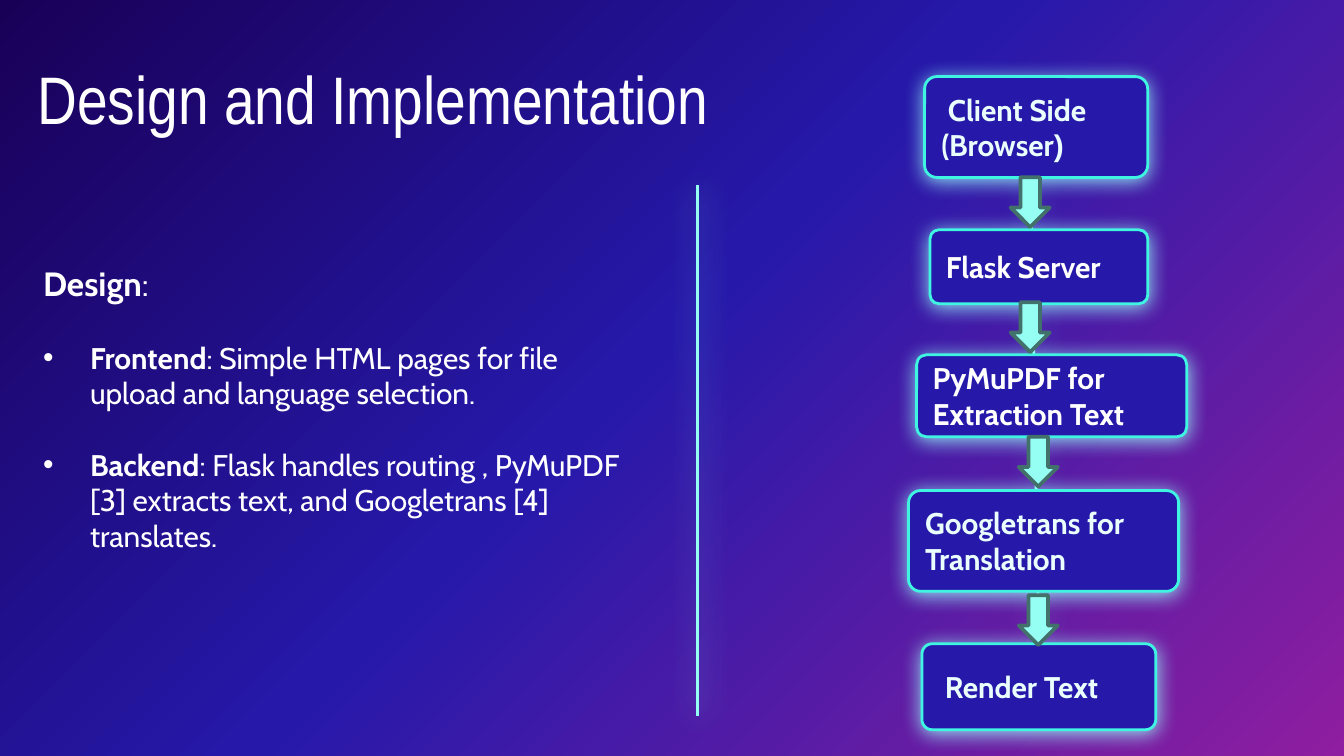
from lxml import etree
from pptx import Presentation
from pptx.dml.color import RGBColor as RGB
from pptx.enum.shapes import MSO_CONNECTOR as Conn, MSO_SHAPE as Kind
from pptx.enum.text import MSO_ANCHOR as Anchor, MSO_AUTO_SIZE as Auto, PP_ALIGN as Align
from pptx.oxml import parse_xml
from pptx.oxml.ns import nsdecls, qn
from pptx.util import Inches, Pt

WHITE = RGB(0xFF, 0xFF, 0xFF)
MINT = RGB(0xEA, 0xFF, 0xFD)
AQUA = RGB(0x96, 0xFF, 0xF3)
CYAN = RGB(0x3F, 0xF5, 0xE1)
GLOW = RGB(0x98, 0xFA, 0xFC)
TEAL = RGB(0x42, 0x70, 0x6B)
NAVY = RGB(0x19, 0x00, 0x57)
BLUE = RGB(0x26, 0x19, 0xAA)
PLUM = RGB(0x8F, 0x1E, 0xA0)


def style(run, size, color=WHITE, bold=False, name="Cabin"):
    font = run.font
    font.size, font.bold, font.name = Pt(size), bold, name
    font.color.rgb = color


def glow(shape, color, alpha, blur, angle):
    """Add a coloured outer shadow; alpha in percent, blur in points."""
    shape._element.spPr.append(parse_xml(
        f'<a:effectLst {nsdecls("a")}><a:outerShdw blurRad="{Pt(blur)}" '
        f'dist="{Pt(1.5)}" dir="{angle * 60000}" algn="bl" rotWithShape="0">'
        f'<a:srgbClr val="{color}"><a:alpha val="{alpha * 1000}"/></a:srgbClr>'
        '</a:outerShdw></a:effectLst>'))


deck = Presentation()
deck.slide_width = Inches(10)
deck.slide_height = Inches(10 * 9 / 16)
slide = deck.slides.add_slide(deck.slide_layouts[1])
shapes = slide.shapes

# Background gradient
fill = slide.background.fill
fill.gradient()
fill.gradient_angle = 0
grad = slide.background._cSld.bg.bgPr.find(qn("a:gradFill"))
stops = grad.find(qn("a:gsLst"))
for old in list(stops):
    stops.remove(old)
for pos, color in [(0, NAVY), (48, BLUE), (100, PLUM)]:
    stop = etree.SubElement(stops, qn("a:gs"), pos=str(pos * 1000))
    etree.SubElement(stop, qn("a:srgbClr"), val=str(color))
grad.find(qn("a:lin")).set("ang", str(45 * 60000))

# Title and body
title, body = shapes.title, slide.placeholders[1]
for holder, spot in [(title, (0, 0.41, 5.55, 0.63)), (body, (0.17, 1.71, 4.62, 2.92))]:
    holder.left, holder.top, holder.width, holder.height = map(Inches, spot)
    frame = holder.text_frame
    frame.margin_left = frame.margin_right = frame.margin_top = frame.margin_bottom = 0
    frame.vertical_anchor, frame.auto_size = Anchor.MIDDLE, Auto.NONE
    frame.word_wrap = True

title.text_frame.text = "Design and Implementation"
para = title.text_frame.paragraphs[0]
para.alignment = Align.CENTER
style(para.runs[0], 36, name="Arial Narrow")

points = [
    ("Design", ":"),
    ("Frontend", ": Simple HTML pages for file upload and language selection."),
    ("Backend", ": Flask handles routing , PyMuPDF [3] extracts text, and Googletrans [4] translates."),
]
frame = body.text_frame
frame.margin_bottom = Inches(0.26)
for i, (head, rest) in enumerate(points):
    para = frame.paragraphs[0] if i == 0 else frame.add_paragraph()
    para.alignment = Align.LEFT
    para.space_before = Pt(19 if i else 0)
    for text, bold in [(head, True), (rest, False)]:
        run = para.add_run()
        run.text = text
        style(run, 16 if i else 18, bold=bold)
    props = para._p.get_or_add_pPr()
    props.set("marL", str(Inches(0.5)))
    props.set("indent", str(Inches(-0.35)))
    if i:
        tint = etree.SubElement(props, qn("a:buClr"))
        etree.SubElement(tint, qn("a:srgbClr"), val=str(WHITE))
        etree.SubElement(props, qn("a:buFont"), typeface="Arial")
        etree.SubElement(props, qn("a:buChar"), char="•")
    else:
        etree.SubElement(props, qn("a:buNone"))

# Line behind the flow, and the divider
for ends in [(7.66, 0.81, 7.73, 4.81), (5.19, 1.38, 5.19, 5.33)]:
    line = shapes.add_connector(Conn.STRAIGHT, *map(Inches, ends))
    line.line.color.rgb, line.line.width = AQUA, Pt(1.5)
    glow(line, AQUA, 68, 15.8, 44)

# Flow boxes
steps = [
    (" Client Side (Browser", 6.88, 0.57, 1.66, 0.75, MINT),
    ("Flask Server", 6.92, 1.71, 1.62, 0.55, WHITE),
    ("PyMuPDF for Extraction Text", 6.82, 2.64, 2.01, 0.61, WHITE),
    ("Googletrans for Translation", 6.76, 3.65, 2.01, 0.75, MINT),
    (" Render Text", 6.86, 4.79, 1.74, 0.64, MINT),
]
for text, *spot, color in steps:
    box = shapes.add_shape(Kind.ROUNDED_RECTANGLE, *map(Inches, spot))
    box.adjustments[0] = 0.12
    box.fill.solid()
    box.fill.fore_color.rgb = BLUE
    box.line.color.rgb, box.line.width = CYAN, Pt(1.5)
    glow(box, GLOW, 90, 11.2, 90)
    frame = box.text_frame
    frame.word_wrap, frame.vertical_anchor = True, Anchor.MIDDLE
    frame.margin_left = frame.margin_right = Inches(0.1)
    frame.margin_top = frame.margin_bottom = Inches(0.1)
    frame.text = text
    para = frame.paragraphs[0]
    para.alignment = Align.LEFT
    style(para.runs[0], 16, color, True)
    if "(" in text:
        run = para.add_run()
        run.text = ")"
        style(run, 16, color, True, "Arial")

# Arrows between the boxes
for x, y in [(7.52, 1.32), (7.52, 2.25), (7.58, 3.25), (7.58, 4.43)]:
    arrow = shapes.add_shape(Kind.DOWN_ARROW, Inches(x), Inches(y), Inches(0.29), Inches(0.37))
    arrow.shadow.inherit = False
    arrow.fill.solid()
    arrow.fill.fore_color.rgb = AQUA
    arrow.line.color.rgb, arrow.line.width = TEAL, Pt(2)

deck.save("out.pptx")
